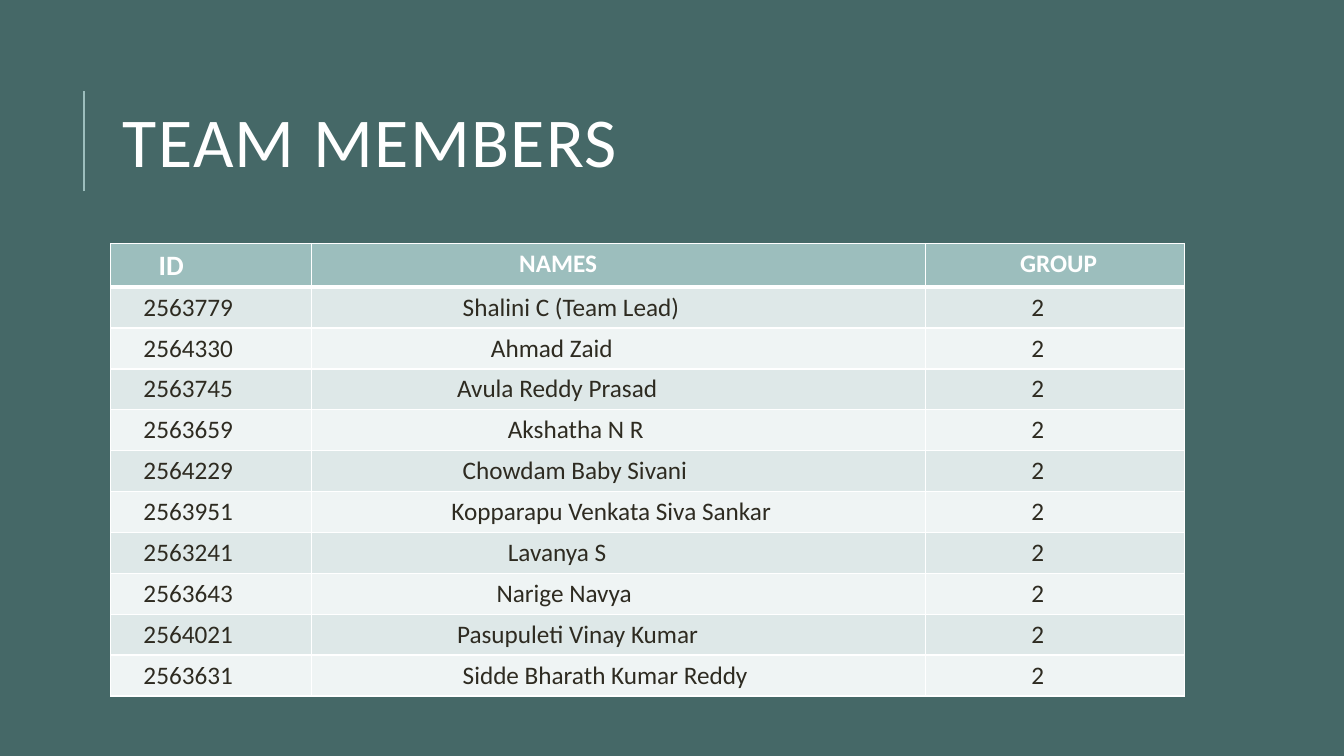
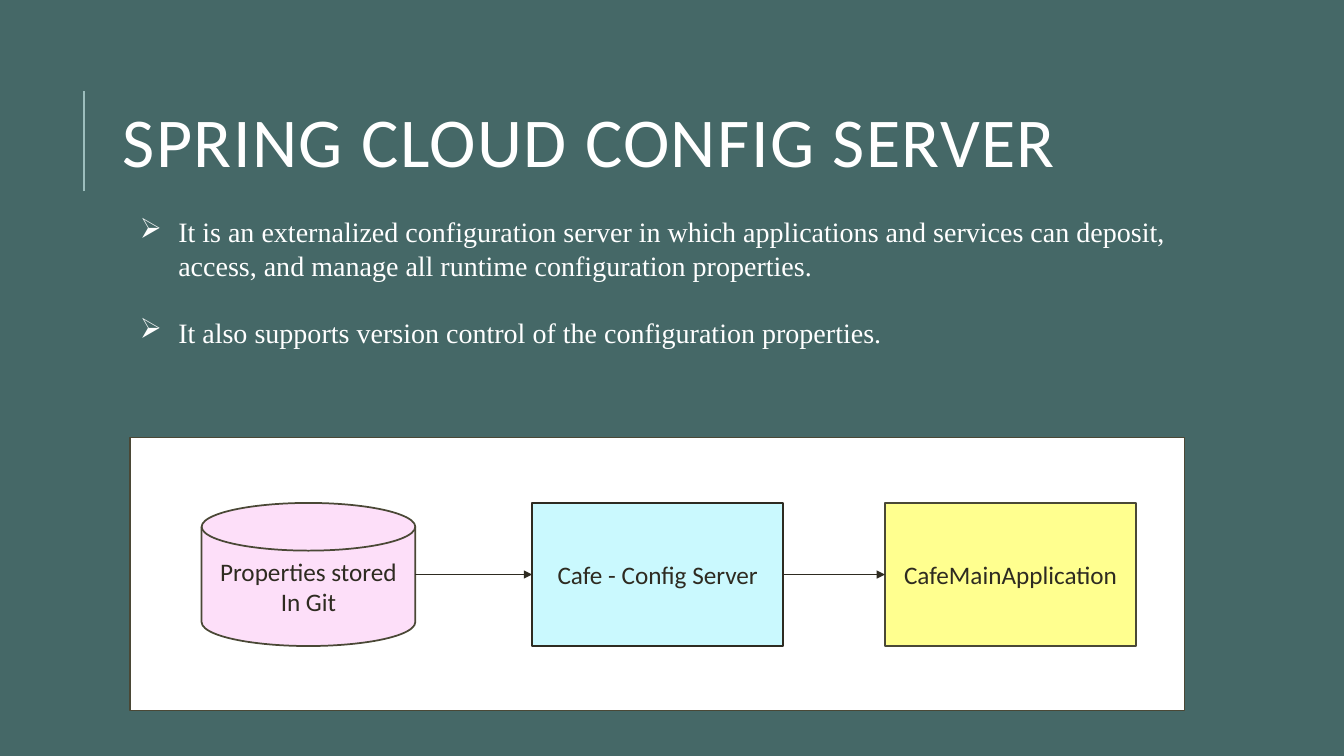
from itertools import pairwise

from lxml import etree
from pptx import Presentation
from pptx import util as u
from pptx.dml.color import RGBColor
from pptx.enum import shapes, text
from pptx.oxml import ns

BACKDROP = "456867"
ACCENT = "9CBEBD"
WHITE = "FFFFFF"
INK = "2E2B21"
OUTLINE = "4A4836"
BANDS = ("DEE8E8", "EFF4F4")
BODY_FONT = "Calibri"
LIST_FONT = "Times New Roman"

HEADINGS = [("ID", 6.7, 20), ("NAMES", 35, 18), ("GROUP", 15, 18)]
MEMBERS = [
    ("2563779", "Shalini C (Team Lead)", 25),
    ("2564330", "Ahmad Zaid", 30),
    ("2563745", "Avula Reddy Prasad", 24),
    ("2563659", "Akshatha N R", 33),
    ("2564229", "Chowdam Baby Sivani", 25),
    ("2563951", "Kopparapu Venkata Siva Sankar", 23),
    ("2563241", "Lavanya S", 33),
    ("2563643", "Narige Navya", 31),
    ("2564021", "Pasupuleti Vinay Kumar", 24),
    ("2563631", "Sidde Bharath Kumar Reddy", 25),
]
BULLETS = [
    "It is an externalized configuration server in which applications and services "
    "can deposit, access, and manage all runtime configuration properties.",
    "It also supports version control of the configuration properties.",
]


def color(value):
    return RGBColor.from_string(value)


def add_element(parent, tag, **attributes):
    return etree.SubElement(parent, ns.qn(tag), attributes)


class Slides:
    CELL_MARGIN = 0.75
    INDENT_STEP = 0.42

    def __init__(self):
        self.deck = Presentation()
        self.deck.slide_width = u.Inches(13.33)
        self.deck.slide_height = u.Inches(7.5)
        self.page = None

    def across(self, percent):
        return u.Emu(round(self.deck.slide_width * percent / 100))

    def down(self, percent):
        return u.Emu(round(self.deck.slide_height * percent / 100))

    def area(self, left, top, width, height):
        return self.across(left), self.down(top), self.across(width), self.down(height)

    def style(self, paragraph, size, ink, font=BODY_FONT, bold=False):
        paragraph.font.name = font
        paragraph.font.size = u.Pt(size)
        paragraph.font.bold = bold
        paragraph.font.color.rgb = color(ink)

    def new_page(self, title):
        self.page = self.deck.slides.add_slide(self.deck.slide_layouts[6])
        fill = self.page.background.fill
        fill.solid()
        fill.fore_color.rgb = color(BACKDROP)
        self.line((6.25, 25.33), (6.25, 12), ACCENT, 1.5)
        frame = self.text_box(8.4, 8.53, 79.7, 21.87)
        frame.vertical_anchor = text.MSO_ANCHOR.MIDDLE
        paragraph = frame.paragraphs[0]
        paragraph.text = title
        paragraph.line_spacing = 0.8
        self.style(paragraph, 50, WHITE)
        paragraph.runs[0]._r.get_or_add_rPr().set("spc", "100")

    def text_box(self, *place):
        frame = self.page.shapes.add_textbox(*self.area(*place)).text_frame
        frame.word_wrap = True
        return frame

    def line(self, start, end, ink, width, arrow=False):
        connector = self.page.shapes.add_connector(
            shapes.MSO_CONNECTOR.STRAIGHT,
            self.across(start[0]), self.down(start[1]),
            self.across(end[0]), self.down(end[1]),
        )
        connector.line.color.rgb = color(ink)
        connector.line.width = u.Pt(width)
        if arrow:
            add_element(connector.line._get_or_add_ln(), "a:tailEnd", type="triangle")
        add_element(connector._element.spPr, "a:effectLst")

    def shape(self, kind, place, fill, outline=OUTLINE, lines=()):
        box = self.page.shapes.add_shape(kind, *self.area(*place))
        box.shadow.inherit = False
        box.fill.solid()
        box.fill.fore_color.rgb = color(fill)
        box.line.color.rgb = color(outline)
        box.line.width = u.Pt(1.25)
        frame = box.text_frame
        frame.vertical_anchor = text.MSO_ANCHOR.MIDDLE
        if lines:
            frame.text = "\n".join(lines)
            for paragraph in frame.paragraphs:
                paragraph.alignment = text.PP_ALIGN.CENTER
                self.style(paragraph, 18, INK)

    def bullets(self, place, items):
        frame = self.text_box(*place)
        frame.text = "\n".join(items)
        for number, paragraph in enumerate(frame.paragraphs):
            properties = paragraph._p.get_or_add_pPr()
            indent = u.Inches(0.38)
            properties.set("marL", str(indent))
            properties.set("indent", str(-indent))
            if number:
                paragraph.space_before = u.Pt(24)
            add_element(properties, "a:buChar", char="➢")
            self.style(paragraph, 20, WHITE, LIST_FONT)

    def table(self, left, top, widths, row_height, rows):
        place = self.area(left, top, sum(widths), row_height * len(rows))
        table = self.page.shapes.add_table(len(rows), len(widths), *place).table
        for column, width in zip(table.columns, widths):
            column.width = self.across(width)
        for row_number, row in enumerate(rows):
            for column_number, entry in enumerate(row):
                self.cell(table.cell(row_number, column_number), row_number, *entry)

    def cell(self, cell, row_number, words, steps, size):
        header = row_number == 0
        edges = {"L": 1, "R": 1, "T": 3 if row_number == 1 else 1, "B": 3 if header else 1}
        properties = cell._tc.get_or_add_tcPr()
        for side, width in edges.items():
            edge = add_element(properties, f"a:ln{side}", w=str(u.Pt(width)))
            add_element(add_element(edge, "a:solidFill"), "a:srgbClr", val=WHITE)
        cell.fill.solid()
        cell.fill.fore_color.rgb = color(ACCENT if header else BANDS[(row_number - 1) % 2])
        cell.margin_left = self.across(self.CELL_MARGIN + steps * self.INDENT_STEP)
        cell.text = words
        self.style(cell.text_frame.paragraphs[0], size, WHITE if header else INK, bold=header)


def team_members(slides):
    slides.new_page("TEAM MEMBERS")
    rows = [HEADINGS]
    for number, name, steps in MEMBERS:
        rows.append([(number, 4, 18), (name, steps, 18), ("2", 17, 18)])
    slides.table(8.25, 32.2, (14.93, 45.68, 19.28), 5.41, rows)


def config_server(slides):
    slides.new_page("SPRING CLOUD CONFIG SERVER")
    preset = shapes.MSO_SHAPE
    slides.shape(preset.RECTANGLE, (9.68, 57.87, 78.45, 36.13), WHITE)
    top, height = 66.53, 18.93
    nodes = [
        (preset.FLOWCHART_MAGNETIC_DISK, 15, 15.9, "FDDFF9", OUTLINE,
         ["Properties stored", "In Git"]),
        (preset.RECTANGLE, 39.6, 18.68, "CAF9FE", INK, ["Cafe - Config Server"]),
        (preset.RECTANGLE, 65.85, 18.68, "FFFF8F", OUTLINE, ["CafeMainApplication"]),
    ]
    for kind, left, width, fill, outline, lines in nodes:
        slides.shape(kind, (left, top, width, height), fill, outline, lines)
    middle = top + height / 2
    for source, target in pairwise(nodes):
        start = source[1] + source[2]
        slides.line((start, middle), (target[1], middle), INK, 0.75, arrow=True)
    slides.bullets((9.68, 27.73, 78.45, 19.33), BULLETS)


def main():
    slides = Slides()
    team_members(slides)
    config_server(slides)
    slides.deck.save("out.pptx")


if __name__ == "__main__":
    main()
